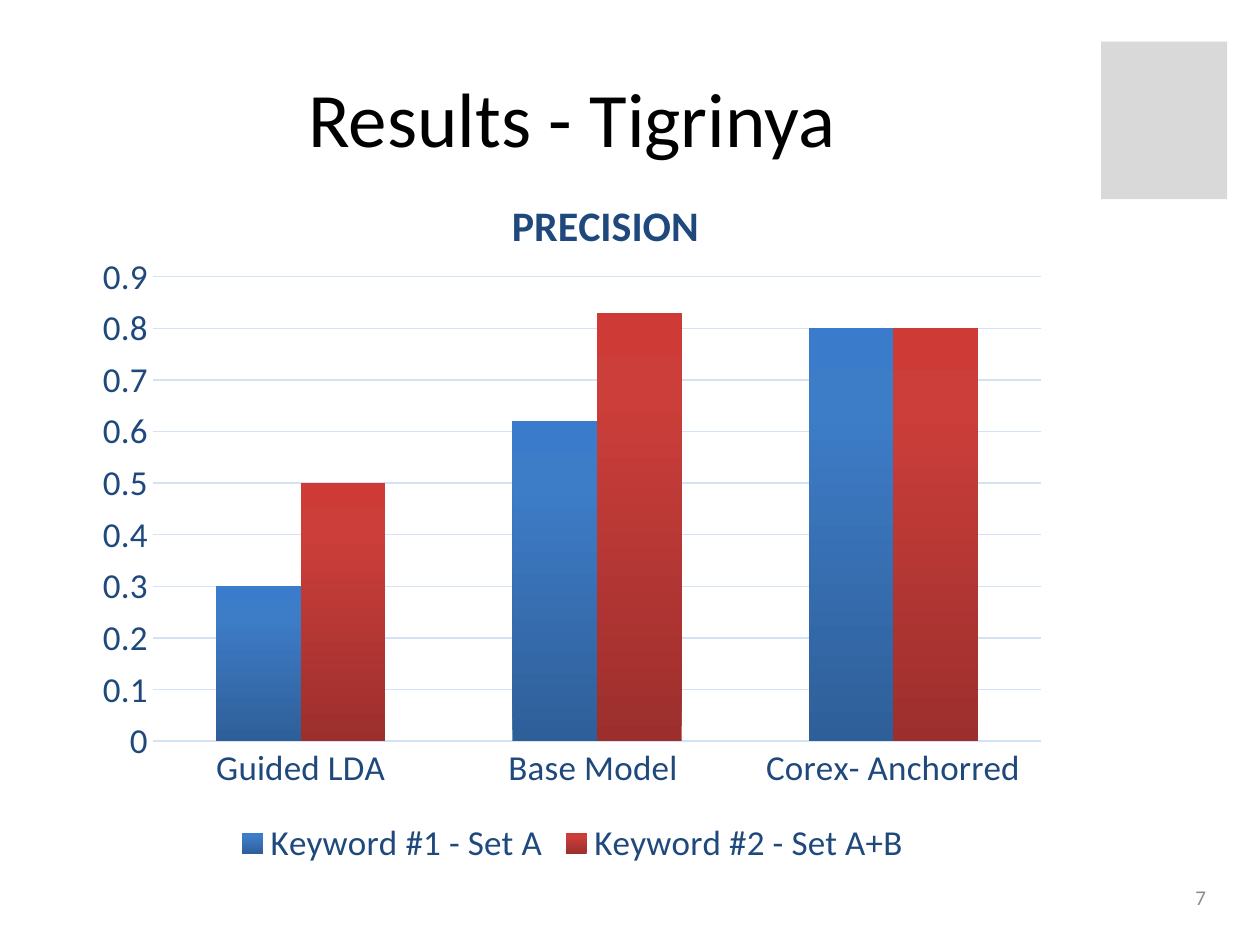
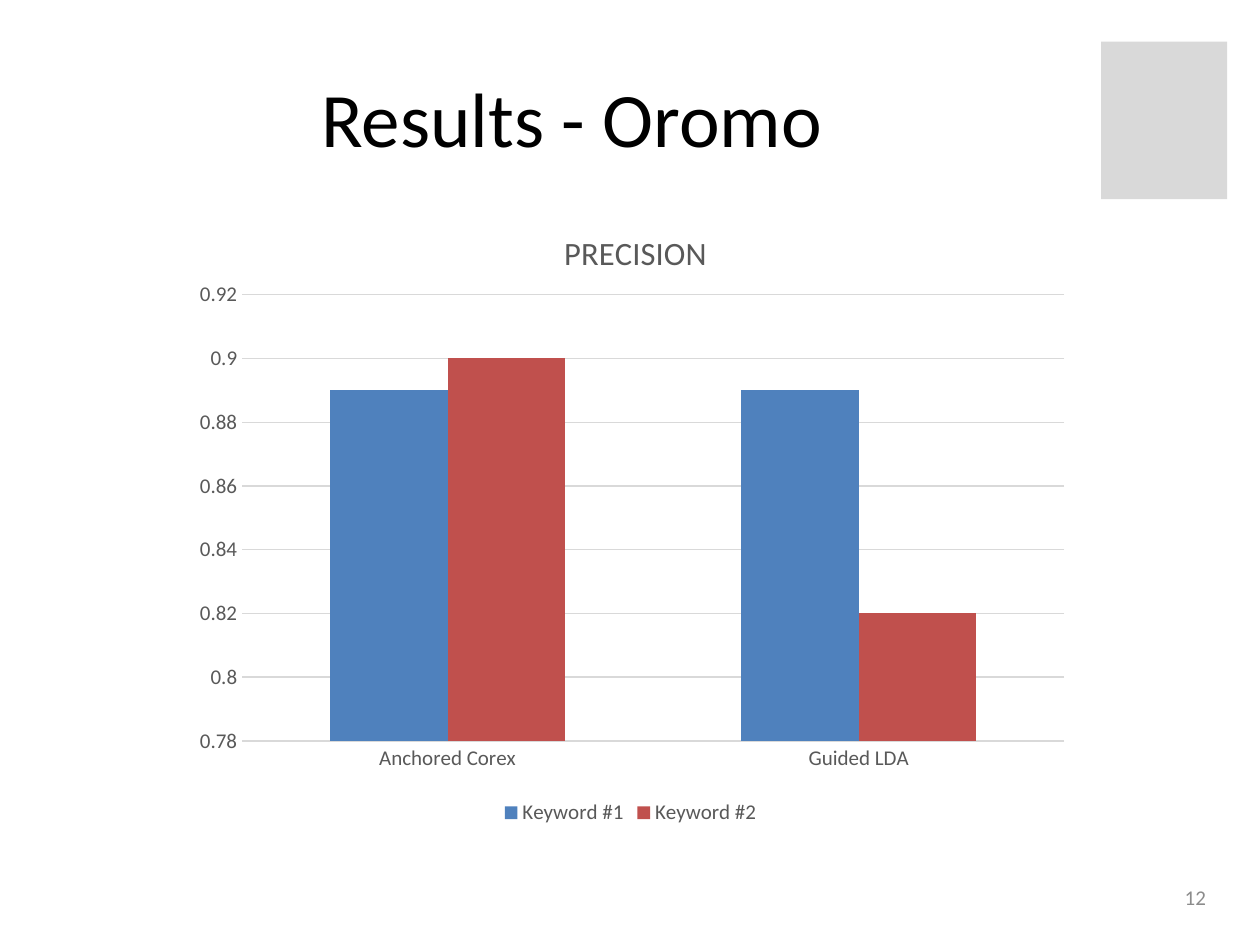
from copy import deepcopy
from pptx import Presentation
from pptx.chart.data import CategoryChartData
from pptx.dml.color import RGBColor
from pptx.enum.chart import XL_CHART_TYPE, XL_LEGEND_POSITION, XL_TICK_MARK
from pptx.enum.shapes import MSO_SHAPE
from pptx.enum.text import MSO_ANCHOR, PP_ALIGN
from pptx.oxml import parse_xml
from pptx.oxml.ns import nsdecls
from pptx.util import Inches, Pt

COLORS = {
    "title": "000000", "number": "8C8C8C", "emblem": "D9D9D9",
    "navy": "1F497D", "pale_blue": "D4E3F4",
    "gray_text": "595959", "gray_line": "D9D9D9",
    "blue": "4F81BD", "red": "C0504D",
    "blue_low": "2F5F99", "blue_mid": "3D7CC7", "blue_high": "3A7CCB",
    "red_low": "9C2F2D", "red_mid": "CB3E3A", "red_high": "CE3B37",
}
FONT = "Calibri"
GRADIENT_POSITIONS = (0, 0.8, 1)

deck = Presentation()
deck.slide_width, deck.slide_height = Inches(10), Inches(7.5)
COLUMN, ROW = deck.slide_width / 100, deck.slide_height / 75

TITLE_AREA = (5, 3, 80.8, 12.5)
NUMBER_AREA = (80, 69.2, 16.7, 4)
EMBLEM_AREA = (87.4, 3.3, 10, 12.5)

results = [
    dict(
        title="Results - Tigrinya", number="7", area=(6.7, 11.6, 77.5, 57.6),
        categories=["Guided LDA", "Base Model ", "Corex- Anchorred"],
        keywords=[
            ("Keyword #1 - Set A", [0.3, 0.62, 0.8], ("blue_low", "blue_mid", "blue_high")),
            ("Keyword #2 - Set A+B", [0.5, 0.83, 0.8], ("red_low", "red_mid", "red_high")),
        ],
        scale=(0, 0.9, 0.1), ink="navy", grid="pale_blue", baseline=True,
        label_size=20, heading_size=24, heading_bold=True,
        heading_at=(0.43, 0.06), plot_at=(0.07, 0.18, 0.91, 0.64),
    ),
    dict(
        title="Results - Oromo", number="12", area=(14.2, 15.3, 71.7, 50.6),
        categories=["Anchored Corex", "Guided LDA"],
        keywords=[
            ("Keyword #1", [0.89, 0.89], ("blue",)),
            ("Keyword #2", [0.9, 0.82], ("red",)),
        ],
        scale=(0.78, 0.92, 0.02), ink="gray_text", grid="gray_line", baseline=False,
        label_size=12, heading_size=18.6, heading_bold=False,
        heading_at=(0.42, 0.05), plot_at=(0.07, 0.16, 0.91, 0.7),
    ),
]


def place(area):
    left, top, width, height = area
    return int(left * COLUMN), int(top * ROW), int(width * COLUMN), int(height * ROW)


def write(slide, text, area, size, color, align):
    frame = slide.shapes.add_textbox(*place(area)).text_frame
    frame.word_wrap = True
    frame.vertical_anchor = MSO_ANCHOR.MIDDLE
    line = frame.paragraphs[0]
    line.alignment = align
    run = line.add_run()
    run.text = text
    run.font.name, run.font.size = FONT, Pt(size)
    run.font.color.rgb = RGBColor.from_string(COLORS[color])


for result in results:
    slide = deck.slides.add_slide(deck.slide_layouts[6])
    emblem = slide.shapes.add_shape(MSO_SHAPE.RECTANGLE, *place(EMBLEM_AREA))
    emblem.shadow.inherit = False
    emblem.fill.solid()
    emblem.fill.fore_color.rgb = RGBColor.from_string(COLORS["emblem"])
    emblem.line.fill.background()
    write(slide, result["title"], TITLE_AREA, size=44, color="title", align=PP_ALIGN.CENTER)
    write(slide, result["number"], NUMBER_AREA, size=12, color="number", align=PP_ALIGN.RIGHT)

    precision = CategoryChartData(number_format="General")
    precision.categories = result["categories"]
    for keyword, values, _ in result["keywords"]:
        precision.add_series(keyword, values)
    chart = slide.shapes.add_chart(
        XL_CHART_TYPE.COLUMN_CLUSTERED, *place(result["area"]), precision).chart
    ink = RGBColor.from_string(COLORS[result["ink"]])
    grid = RGBColor.from_string(COLORS[result["grid"]])
    chart.font.name = FONT
    chart.font.size = Pt(result["label_size"])
    chart.font.color.rgb = ink

    chart.has_title = True
    heading = chart.chart_title.text_frame.paragraphs[0].add_run()
    heading.text = "PRECISION"
    heading.font.name = FONT
    heading.font.size = Pt(result["heading_size"])
    heading.font.bold = result["heading_bold"]
    heading.font.color.rgb = ink
    chart.chart_title.include_in_layout = False

    chart.has_legend = True
    chart.legend.position = XL_LEGEND_POSITION.BOTTOM
    chart.legend.include_in_layout = False

    scale = chart.value_axis
    scale.minimum_scale, scale.maximum_scale, scale.major_unit = result["scale"]
    scale.major_gridlines.format.line.color.rgb = grid
    scale.major_gridlines.format.line.width = Pt(0.75)
    scale.format.line.fill.background()
    models = chart.category_axis
    if result["baseline"]:
        models.format.line.color.rgb = grid
        models.format.line.width = Pt(0.75)
    else:
        models.format.line.fill.background()
    for axis in (scale, models):
        axis.major_tick_mark = axis.minor_tick_mark = XL_TICK_MARK.NONE

    bars = chart.plots[0]
    bars.gap_width, bars.overlap, bars.vary_by_categories = 150, 0, False
    for series, (_, _, tones) in zip(bars.series, result["keywords"]):
        series.invert_if_negative = False
        fill = series.format.fill
        if len(tones) == 1:
            fill.solid()
            fill.fore_color.rgb = RGBColor.from_string(COLORS[tones[0]])
            continue
        fill.gradient()
        fill.gradient_angle = 90
        stop_list = series._element.xpath(".//a:gsLst")[0]
        stop_list.append(deepcopy(stop_list[0]))
        for stop, position, tone in zip(fill.gradient_stops, GRADIENT_POSITIONS, tones):
            stop.position = position
            stop.color.rgb = RGBColor.from_string(COLORS[tone])

    for owner, target, shares in (("c:title", "", result["heading_at"]),
                                  ("c:plotArea", '<c:layoutTarget val="inner"/>', result["plot_at"])):
        element = chart._chartSpace.xpath(f"c:chart/{owner}")[0]
        for old in element.xpath("c:layout"):
            element.remove(old)
        modes = "".join(f'<c:{side}Mode val="edge"/>' for side in "xy")
        sizes = "".join(f'<c:{side} val="{share}"/>' for side, share in zip("xywh", shares))
        layout = parse_xml(f'<c:layout {nsdecls("c")}><c:manualLayout>{target}{modes}{sizes}'
                           "</c:manualLayout></c:layout>")
        element.insert(1 if owner == "c:title" else 0, layout)

deck.save("out.pptx")
